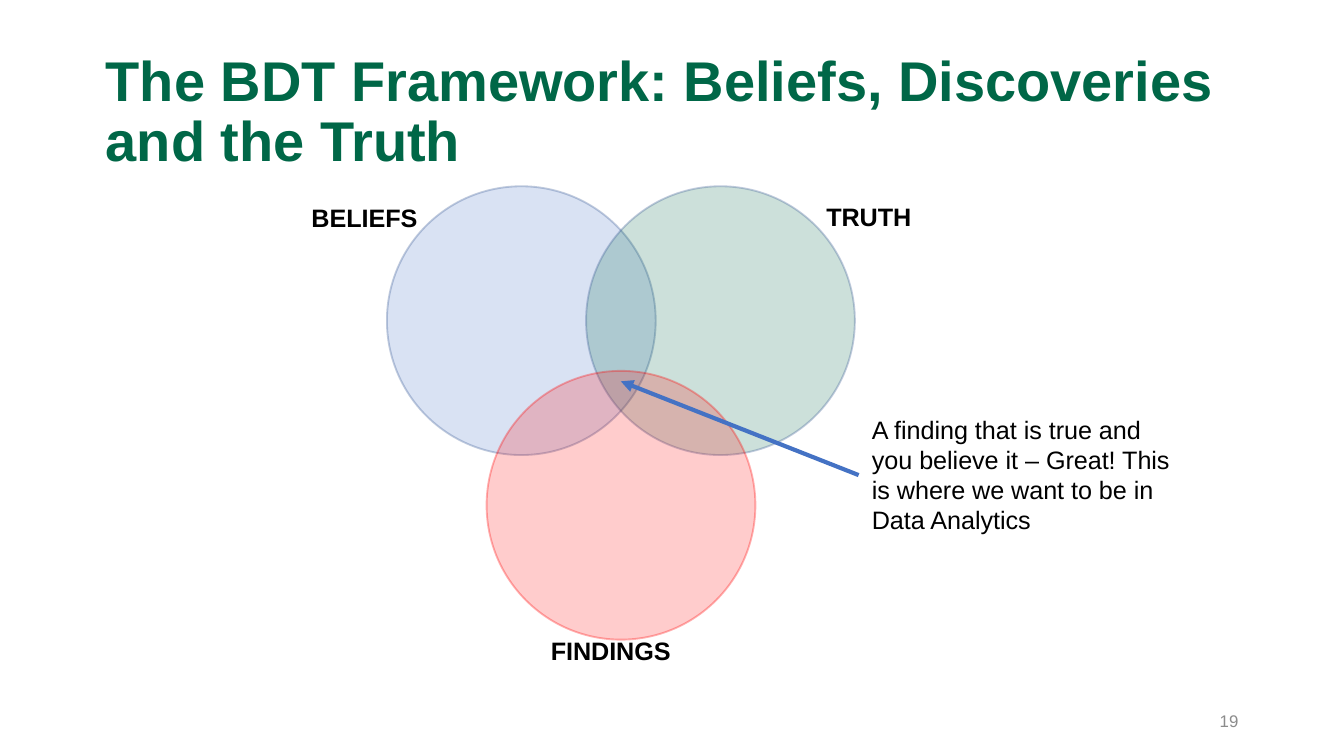
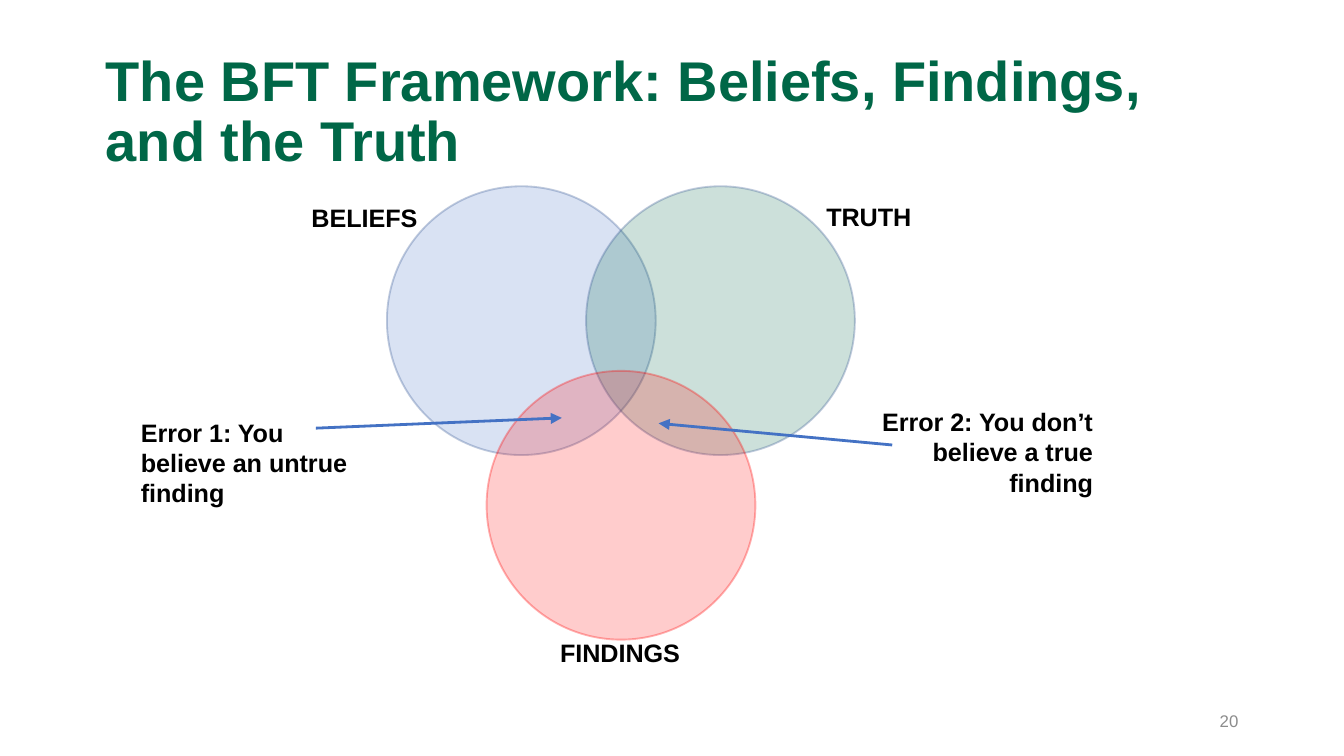
from pptx import Presentation
from pptx.dml.color import RGBColor as RGB
from pptx.enum.shapes import MSO_CONNECTOR as Conn, MSO_SHAPE as Shape
from pptx.enum.text import MSO_ANCHOR as Anchor, MSO_AUTO_SIZE as Auto, PP_ALIGN as Align
from pptx.oxml.ns import qn
from pptx.util import Pt
from lxml.etree import SubElement as Sub

GREEN = RGB(0x00, 0x67, 0x47)
BLUE = RGB(0x44, 0x72, 0xC4)
NAVY = RGB(0x32, 0x54, 0x91)
RED = RGB(0xFF, 0x00, 0x00)
GRAY = RGB(0x8C, 0x8C, 0x8C)
BLACK = RGB(0x00, 0x00, 0x00)

HEAD = {"size": Pt(30), "bold": True, "color": GREEN}
BODY = {"size": Pt(13.5), "bold": False, "color": BLACK}
BOLD = {**BODY, "bold": True}
FOOT = {"size": Pt(9), "bold": False, "color": GRAY}

# Circles of the diagram: left, top, fill, line
SIZE = 144
RINGS = [
    (207.3, 99.8, BLUE, NAVY),
    (314, 99.8, GREEN, NAVY),
    (260.7, 198.7, RED, RED),
]


class Deck:
    def __init__(self):
        self.prs = Presentation()
        self.prs.slide_width, self.prs.slide_height = Pt(720), Pt(405)
        self.slide = None

    def place(self, shape, left, top, width, height):
        box = {"left": left, "top": top, "width": width, "height": height}
        for name, value in box.items():
            setattr(shape, name, Pt(value))

    def letter(self, shape, text, style, align=Align.LEFT):
        para = shape.text_frame.paragraphs[0]
        para.alignment = align
        run = para.add_run()
        run.text = text
        run.font.name = "Arial"
        for name, value in style.items():
            if name == "color":
                run.font.color.rgb = value
            else:
                setattr(run.font, name, value)
        return para

    def fade(self, node, part):
        color = node.find(f".//{qn('a:srgbClr')}")
        Sub(color, qn("a:alpha"), val=str(part * 1000))

    def page(self, title, number):
        self.slide = self.prs.slides.add_slide(self.prs.slide_layouts[5])
        head = self.slide.shapes.title
        self.place(head, 49.5, 21.6, 621, 78.3)
        frame = head.text_frame
        for name, value in {"word_wrap": True, "auto_size": Auto.NONE,
                            "vertical_anchor": Anchor.MIDDLE}.items():
            setattr(frame, name, value)
        self.letter(head, title, HEAD).line_spacing = 0.9
        self.text(str(number), 508.5, 375.4, 162, 21.6, FOOT, Align.RIGHT,
                  auto_size=Auto.NONE, vertical_anchor=Anchor.MIDDLE)

    def text(self, text, left, top, width, height, style,
             align=Align.LEFT, **frame):
        box = self.slide.shapes.add_textbox(
            Pt(left), Pt(top), Pt(width), Pt(height))
        form = {"word_wrap": True, "auto_size": Auto.SHAPE_TO_FIT_TEXT, **frame}
        for name, value in form.items():
            setattr(box.text_frame, name, value)
        self.letter(box, text, style, align)
        return box

    def label(self, text, left, top, width):
        self.text(text, left, top, width, 23.8, BOLD, word_wrap=False)

    def ring(self, left, top, fill, line):
        oval = self.slide.shapes.add_shape(
            Shape.OVAL, Pt(left), Pt(top), Pt(SIZE), Pt(SIZE))
        oval.shadow.inherit = False
        oval.fill.solid()
        oval.fill.fore_color.rgb = fill
        oval.line.color.rgb = line
        oval.line.width = Pt(1)
        props = oval._element.spPr
        self.fade(props.find(qn("a:solidFill")), 20)
        self.fade(props.find(qn("a:ln")), 30)

    def arrow(self, start, end, width, source=None):
        link = self.slide.shapes.add_connector(
            Conn.STRAIGHT, *(Pt(value) for value in start + end))
        if source is not None:
            link.begin_connect(source, 1)
        link.line.color.rgb = BLUE
        link.line.width = Pt(width)
        props = link._element.spPr
        Sub(props.find(qn("a:ln")), qn("a:tailEnd"), type="triangle")
        Sub(props, qn("a:effectLst"))

    def venn(self, left, top):
        for ring in RINGS:
            self.ring(*ring)
        self.label("BELIEFS", 159.8, 105.1, 72)
        self.label("TRUTH", 435.6, 104.4, 60.5)
        self.label("FINDINGS", left, top, 79.9)


def main():
    deck = Deck()

    # Where all three circles meet
    deck.page("The BDT Framework: Beliefs, Discoveries and the Truth", 19)
    deck.venn(288, 337)
    note = deck.text(
        "A finding that is true and you believe it – Great! "
        "This is where we want to be in Data Analytics",
        460, 218.2, 181.4, 72.7, BODY)
    deck.arrow((460, 254.5), (332.6, 204.3), 2.25, note)

    # The two kinds of error
    deck.page("The BFT Framework: Beliefs, Findings, and the Truth", 20)
    deck.venn(293, 337.7)
    deck.text("Error 1: You believe an untrue finding",
              68.4, 220, 139, 56.2, BOLD)
    deck.text("Error 2: You don’t believe a true finding",
              453.6, 214.2, 139, 56.2, BOLD, Align.RIGHT)
    deck.arrow((169.2, 229.4), (301, 223.9), 1.5)
    deck.arrow((478, 238.4), (352.8, 226.8), 1.5)

    deck.prs.save("out.pptx")


if __name__ == "__main__":
    main()
